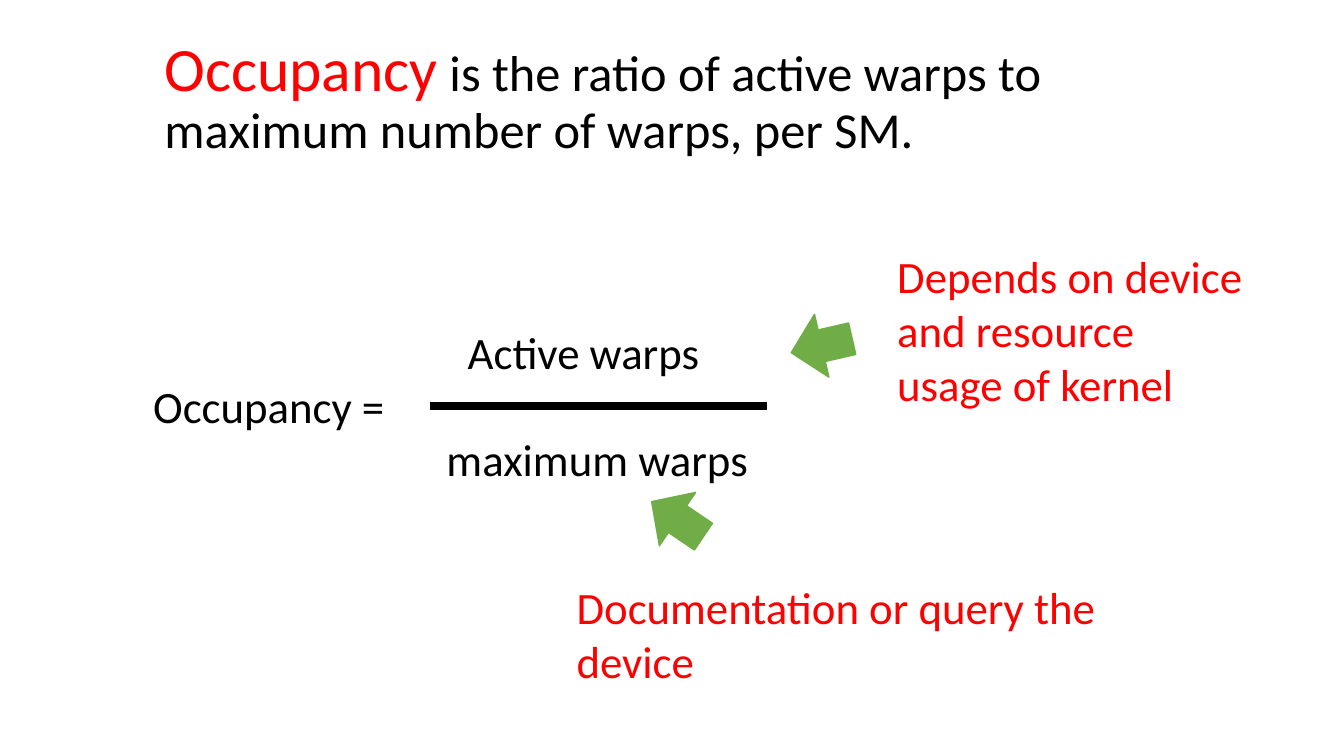
from lxml.etree import SubElement
from pptx import Presentation
from pptx.dml.color import RGBColor
from pptx.enum.shapes import MSO_CONNECTOR, MSO_SHAPE
from pptx.enum.text import MSO_AUTO_SIZE
from pptx.oxml.ns import qn
from pptx.util import Inches, Pt

BLACK = RGBColor(0x00, 0x00, 0x00)
RED = RGBColor(0xFF, 0x00, 0x00)
GREEN = RGBColor(0x70, 0xAD, 0x47)
FONT = "Calibri"


def style_font(font, size, color):
    font.name = FONT
    font.size = Pt(size)
    font.color.rgb = color


def set_indent(paragraph, left):
    properties = paragraph._p.get_or_add_pPr()
    properties.set("marL", str(Inches(left)))
    properties.set("indent", "0")
    return properties


def fill_definition(body):
    body.left, body.top = Inches(1.53), Inches(0.33)
    body.width, body.height = Inches(10.73), Inches(4.76)
    body.text_frame.auto_size = MSO_AUTO_SIZE.NONE
    paragraph = body.text_frame.paragraphs[0]
    paragraph.line_spacing = 0.9
    paragraph.space_before = Pt(10)
    SubElement(set_indent(paragraph, 0), qn("a:buNone"))
    for text, size, color in (
        ("Occupancy", 44, RED),
        (" is the ratio of active warps to maximum number of warps, per SM.", 36, BLACK),
    ):
        run = paragraph.add_run()
        run.text = text
        style_font(run.font, size, color)


def add_text(slide, left, top, width, height, lines, color):
    box = slide.shapes.add_textbox(Inches(left), Inches(top), Inches(width), Inches(height))
    frame = box.text_frame
    frame.word_wrap = True
    for index, (text, indent) in enumerate(lines):
        paragraph = frame.add_paragraph() if index else frame.paragraphs[0]
        paragraph.text = text
        style_font(paragraph.font, 32, color)
        set_indent(paragraph, indent)


def add_fraction_bar(slide, left, right, y):
    bar = slide.shapes.add_connector(
        MSO_CONNECTOR.STRAIGHT, Inches(left), Inches(y), Inches(right), Inches(y)
    )
    bar.line.color.rgb = BLACK
    bar.line.width = Pt(6)
    SubElement(bar._element.spPr, qn("a:effectLst"))


def add_pointer(slide, left, top, rotation):
    pointer = slide.shapes.add_shape(
        MSO_SHAPE.LEFT_ARROW, Inches(left), Inches(top), Inches(0.62), Inches(0.64)
    )
    pointer.rotation = rotation
    pointer.shadow.inherit = False
    pointer.fill.solid()
    pointer.fill.fore_color.rgb = GREEN
    pointer.line.color.rgb = GREEN
    pointer.line.width = Pt(1)


def main():
    deck = Presentation()
    deck.slide_width, deck.slide_height = Inches(13.33), Inches(7.5)
    slide = deck.slides.add_slide(deck.slide_layouts[1])
    title = slide.shapes.title._element
    title.getparent().remove(title)
    fill_definition(slide.placeholders[1])

    formula = [("Active warps", 3.22), ("Occupancy =", 0.1), ("maximum warps", 3.01)]
    add_text(slide, 1.32, 3.17, 7.21, 1.72, formula, BLACK)
    add_fraction_bar(slide, 4.26, 7.61, 4.03)
    add_pointer(slide, 7.84, 3.11, 347.1)
    add_pointer(slide, 6.41, 4.83, 34.1)
    maximum_note = [("Documentation or query the device", 0)]
    add_text(slide, 5.62, 5.7, 5.38, 1.18, maximum_note, RED)
    active_note = [("Depends on device and resource usage of kernel", 0)]
    add_text(slide, 8.8, 2.42, 3.68, 1.72, active_note, RED)
    deck.save("out.pptx")


main()
